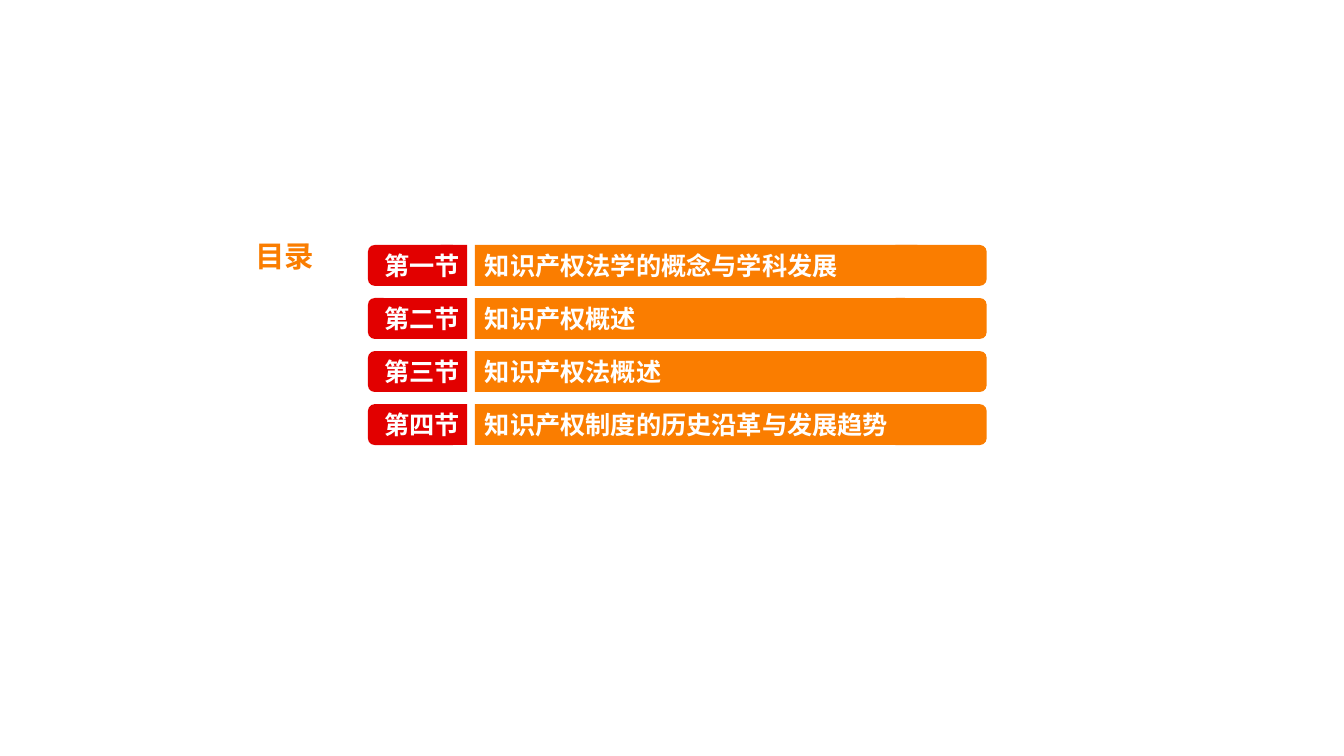
from pptx import Presentation
from pptx.dml.color import RGBColor
from pptx.enum.shapes import MSO_SHAPE
from pptx.enum.text import MSO_ANCHOR, PP_ALIGN
from pptx.oxml.ns import qn
from pptx.util import Pt

COLORS = {"orange": "FA7D00", "red": "E20000", "white": "FFFFFF"}
FONT = "Noto Sans CJK SC"
SECTIONS = [
    ("第一节", "知识产权法学的概念与学科发展"),
    ("第二节", "知识产权概述"),
    ("第三节", "知识产权法概述"),
    ("第四节", "知识产权制度的历史沿革与发展趋势"),
]


def write_text(shape, text, size, color, anchor, wrap):
    """Put one bold, left-aligned line of text into a shape."""
    frame = shape.text_frame
    frame.text = text
    frame.word_wrap = wrap
    frame.vertical_anchor = anchor
    frame.margin_left = frame.margin_right = Pt(7.2)
    frame.margin_top = frame.margin_bottom = Pt(3.6)
    para = frame.paragraphs[0]
    para.alignment = PP_ALIGN.LEFT
    para.line_spacing = 1.0
    para.space_before = Pt(0)
    font = para.runs[0].font
    font.name = FONT
    font.size = Pt(size)
    font.bold = True
    font.color.rgb = RGBColor.from_string(COLORS[color])
    east_asian = font._element.makeelement(qn("a:ea"), {"typeface": FONT})
    font._element.find(qn("a:latin")).addnext(east_asian)


def add_block(page, kind, color, left, top, width, height):
    """Add a flat filled shape without outline or shadow."""
    block = page.shapes.add_shape(kind, Pt(left), Pt(top), Pt(width), Pt(height))
    block.fill.solid()
    block.fill.fore_color.rgb = RGBColor.from_string(COLORS[color])
    block.line.fill.background()
    block.shadow.inherit = False
    return block


def add_heading(page, left, top, width, height):
    """Place the slide title in the given box."""
    title = page.shapes.title
    title.left, title.top, title.width, title.height = map(Pt, (left, top, width, height))
    write_text(title, "目录", 21, "orange", MSO_ANCHOR.TOP, False)


def add_section(page, number, name, left, top, width, height):
    """Draw one contents row: a red number tag and an orange name bar."""
    add_block(page, MSO_SHAPE.ROUNDED_RECTANGLE, "red", left, top, 65.5, height)
    add_block(page, MSO_SHAPE.RECTANGLE, "red", left + 52, top, 19, height)
    label = page.shapes.add_textbox(Pt(left + 4.5), Pt(top + 0.5), Pt(69), Pt(height))
    write_text(label, number, 18, "white", MSO_ANCHOR.TOP, False)

    add_block(page, MSO_SHAPE.ROUNDED_RECTANGLE, "orange", left + width - 70, top, 70, height)
    bar = add_block(page, MSO_SHAPE.RECTANGLE, "orange", left + 76.5, top, 316, height)
    write_text(bar, name, 18, "white", MSO_ANCHOR.MIDDLE, True)


def add_contents(page, left, top, width, pitch):
    """Stack the section rows at an even pitch."""
    for index, (number, name) in enumerate(SECTIONS):
        add_section(page, number, name, left, top + index * pitch, width, 29.2)


def main():
    """Build the contents slide and save the deck."""
    deck = Presentation()
    deck.slide_width, deck.slide_height = Pt(960), Pt(540)
    page = deck.slides.add_slide(deck.slide_layouts.get_by_name("Title Only"))
    add_heading(page, 175.2, 166.3, 57, 32.4)
    add_contents(page, 262.8, 175, 442, 37.9)
    deck.save("out.pptx")


if __name__ == "__main__":
    main()
